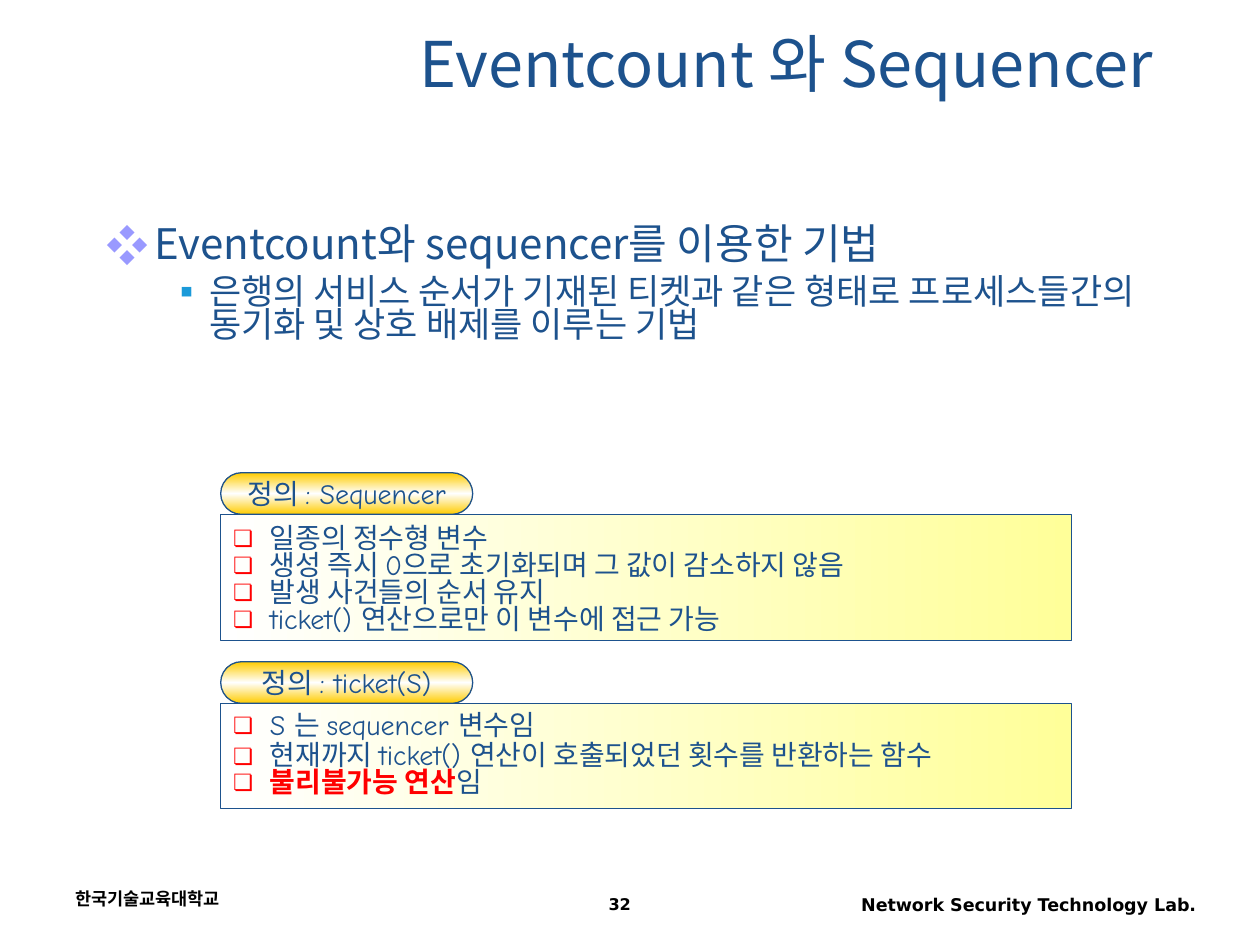
from dataclasses import dataclass

from lxml import etree
from pptx import Presentation
from pptx.dml.color import RGBColor
from pptx.enum.shapes import MSO_SHAPE
from pptx.enum.text import MSO_ANCHOR, MSO_AUTO_SIZE, PP_ALIGN
from pptx.oxml.ns import qn
from pptx.util import Cm, Pt

ROUND, RECT = MSO_SHAPE.ROUNDED_RECTANGLE, MSO_SHAPE.RECTANGLE
LEFT, CENTER, RIGHT = PP_ALIGN.LEFT, PP_ALIGN.CENTER, PP_ALIGN.RIGHT
TOP, MIDDLE = MSO_ANCHOR.TOP, MSO_ANCHOR.MIDDLE

NAVY = RGBColor(0x1D, 0x52, 0x8D)
BLACK = RGBColor(0, 0, 0)
RED = RGBColor(0xFF, 0, 0)
LILAC = RGBColor(0x99, 0x99, 0xFF)
SKY = RGBColor(0x1B, 0x9A, 0xD9)
GOLD = RGBColor(0xFF, 0xCC, 0)
WHITE = RGBColor(0xFF, 0xFF, 0xFF)
YELLOW = RGBColor(0xFF, 0xFF, 0x99)

SANS, COMIC, FOOTER = "Noto Sans CJK KR", "Comic Neue", "DejaVu Sans"
BOX_LEFT, BOX_WIDTH = 4.45, 17.15
TAB_WIDTH, TAB_HEIGHT = 5.08, 0.84


@dataclass
class Bullet:
    char: str
    color: RGBColor
    left: float
    hang: float
    size: int = 100


@dataclass
class Item:
    text: str
    spacing: float = 0.8
    strong: str = ""


@dataclass
class Definition:
    title: str
    top: float
    height: float
    items: list[Item]


@dataclass
class FooterText:
    text: str
    left: float
    top: float
    width: float
    align: PP_ALIGN
    size: float = 10


CHECK = Bullet("❏", RED, 0.74, 0.74, 80)
DEFINITIONS = [
    Definition("정의 : Sequencer", 9.53, 2.54, [
        Item("일종의 정수형 변수", 1.0),
        Item("생성 즉시 0으로 초기화되며 그 값이 감소하지 않음"),
        Item("발생 사건들의 순서 유지"),
        Item("ticket() 연산으로만 이 변수에 접근 가능"),
    ]),
    Definition("정의 : ticket(S)", 13.34, 2.12, [
        Item("S 는 sequencer 변수임"),
        Item("현재까지 ticket() 연산이 호출되었던 횟수를 반환하는 함수", 0.9),
        Item("임", strong="불리불가능 연산"),
    ]),
]
FOOTERS = [
    FooterText("한국기술교육대학교", 1.27, 17.78, 5.93, LEFT),
    FooterText("Network Security Technology Lab.", 16.3, 17.9, 8.06, RIGHT),
    FooterText("32", 9.53, 17.9, 5.93, CENTER, 9.2),
]


def add_text(p, text, *, size, font=SANS, color=NAVY, bold=False,
             align=None, spacing=1.0, before=0):
    p.alignment = align
    p.line_spacing = spacing
    p.space_before = Pt(before)
    r = p.add_run()
    r.text = text
    r.font.name = font
    r.font.size = Pt(size)
    r.font.bold = bold
    r.font.color.rgb = color
    etree.SubElement(r.font._element, qn("a:ea")).set("typeface", SANS)


def set_bullet(p, bullet: Bullet) -> None:
    pPr = p._p.get_or_add_pPr()
    pPr.set("marL", str(Cm(bullet.left)))
    pPr.set("indent", str(-Cm(bullet.hang)))
    color = etree.SubElement(pPr, qn("a:buClr"))
    etree.SubElement(color, qn("a:srgbClr")).set("val", str(bullet.color))
    etree.SubElement(pPr, qn("a:buSzPct")).set("val", str(bullet.size * 1000))
    etree.SubElement(pPr, qn("a:buFont")).set("typeface", SANS)
    etree.SubElement(pPr, qn("a:buChar")).set("char", bullet.char)


def set_gradient(sp, colors: list[RGBColor], angle: int) -> None:
    """Fill with evenly spaced colour stops."""
    sp.fill.gradient()
    sp.fill.gradient_angle = angle
    stops = sp._element.spPr.find(qn("a:gradFill")).find(qn("a:gsLst"))
    stops.clear()
    for i, color in enumerate(colors):
        stop = etree.SubElement(stops, qn("a:gs"))
        stop.set("pos", str(100000 * i // (len(colors) - 1)))
        etree.SubElement(stop, qn("a:srgbClr")).set("val", str(color))


def add_box(s, kind, top: float, width: float, height: float,
            colors: list[RGBColor], angle: int, wrap: bool):
    sp = s.shapes.add_shape(kind, Cm(BOX_LEFT), Cm(top), Cm(width), Cm(height))
    sp.shadow.inherit = False
    set_gradient(sp, colors, angle)
    sp.line.color.rgb = NAVY
    sp.line.width = Pt(0.75)
    sp.text_frame.word_wrap = wrap
    sp.text_frame.vertical_anchor = MIDDLE
    return sp


def paragraphs(tf, count: int):
    return [tf.paragraphs[0], *(tf.add_paragraph() for _ in range(count - 1))]


def add_definition(s, d: Definition) -> None:
    tab = add_box(s, ROUND, d.top, TAB_WIDTH, TAB_HEIGHT,
                  [GOLD, WHITE, GOLD], 270, False)
    tab.adjustments[0] = 0.5
    add_text(tab.text_frame.paragraphs[0], d.title, size=16, font=COMIC,
             align=CENTER)

    box = add_box(s, RECT, d.top + TAB_HEIGHT, BOX_WIDTH, d.height,
                  [WHITE, YELLOW], 0, True)
    for p, item in zip(paragraphs(box.text_frame, len(d.items)), d.items):
        set_bullet(p, CHECK)
        style = dict(size=16, font=COMIC, align=LEFT, spacing=item.spacing)
        if item.strong:
            add_text(p, item.strong, color=RED, bold=True, **style)
        add_text(p, item.text, **style)


def add_footer(s, f: FooterText) -> None:
    sp = s.shapes.add_textbox(Cm(f.left), Cm(f.top), Cm(f.width), Cm(0.8))
    sp.text_frame.word_wrap = True
    add_text(sp.text_frame.paragraphs[0], f.text, size=f.size, font=FOOTER,
             color=BLACK, bold=True, align=f.align)


def place(sp, top: float, height: float, anchor):
    """Move a placeholder and return its text frame."""
    sp.left, sp.top, sp.width, sp.height = Cm(1.9), Cm(top), Cm(21.6), Cm(height)
    tf = sp.text_frame
    tf.word_wrap = True
    tf.auto_size = MSO_AUTO_SIZE.NONE
    tf.vertical_anchor = anchor
    return tf


def main() -> None:
    prs = Presentation()
    prs.slide_width, prs.slide_height = Cm(25.4), Cm(19.05)
    s = prs.slides.add_slide(prs.slide_layouts[1])

    title = place(s.shapes.title, 0.42, 1.68, MIDDLE)
    add_text(title.paragraphs[0], "Eventcount 와 Sequencer", size=36, align=RIGHT)

    body = place(s.placeholders[1], 4.37, 2.75, TOP)
    topic, detail = paragraphs(body, 2)
    set_bullet(topic, Bullet("❖", LILAC, 0.96, 0.96))
    add_text(topic, "Eventcount와 sequencer를 이용한 기법", size=24, spacing=0.9)
    detail.level = 1
    set_bullet(detail, Bullet("▪", SKY, 2.06, 0.79))
    add_text(detail, "은행의 서비스 순서가 기재된 티켓과 같은 형태로 프로세스들간의 "
             "동기화 및 상호 배제를 이루는 기법", size=20, spacing=0.8, before=5)

    for d in DEFINITIONS:
        add_definition(s, d)
    for f in FOOTERS:
        add_footer(s, f)
    prs.save("out.pptx")


if __name__ == "__main__":
    main()
